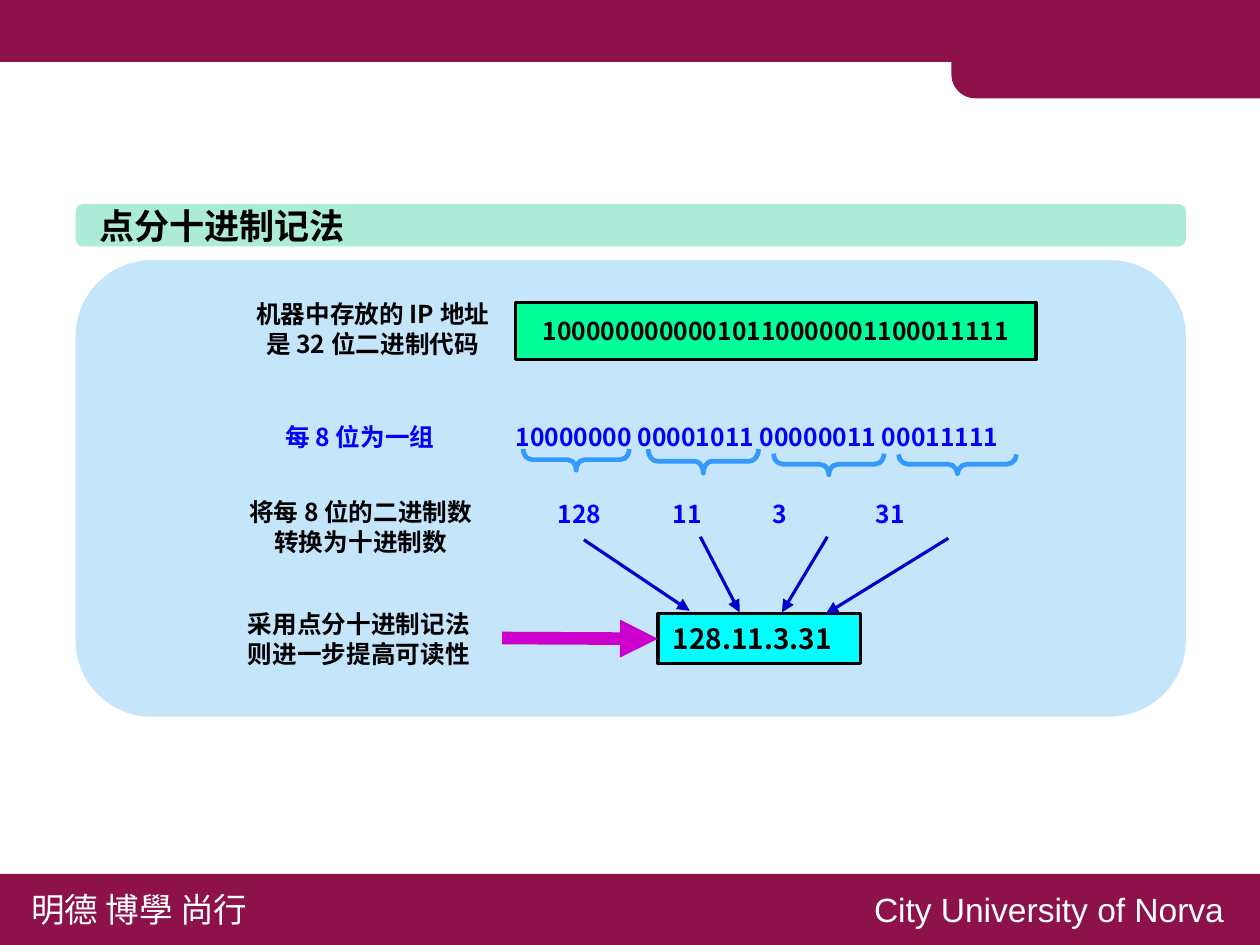
import dataclasses
import typing

import lxml.etree
import pptx
import pptx.dml.color
import pptx.enum.shapes
import pptx.enum.text
import pptx.oxml.ns
import pptx.util

Inches = pptx.util.Inches
Kind = pptx.enum.shapes.MSO_SHAPE
Align = pptx.enum.text.PP_ALIGN
Anchor = pptx.enum.text.MSO_ANCHOR
qn = pptx.oxml.ns.qn

CJK = "Noto Sans CJK SC"
COLOURS = {
    "wine": "8D124A", "mint": "ABEBD7", "sky": "C5E5FB", "green": "00FF99",
    "cyan": "00FFFF", "black": "000000", "white": "FFFFFF", "blue": "0000FF",
    "navy": "0000CC", "azure": "3399FF", "magenta": "CC00CC",
}


@dataclasses.dataclass
class Box:
    left: float
    top: float
    width: float
    height: float

    def lengths(self) -> list:
        return [Inches(value) for value in dataclasses.astuple(self)]


@dataclasses.dataclass
class Words:
    lines: list[str]
    colour: str = "black"
    size: float = 11.7
    align: typing.Any = Align.LEFT
    font: str = CJK
    bold: bool = True
    anchor: typing.Any = Anchor.TOP
    tabs: tuple[float, ...] = ()


@dataclasses.dataclass
class Panel:
    box: Box
    fill: str
    kind: typing.Any = Kind.RECTANGLE
    corner: float | None = None
    turn: int = 0


@dataclasses.dataclass
class Brace:
    centre_x: float
    centre_y: float
    depth: float
    span: float
    curve: float


@dataclasses.dataclass
class Arrow:
    start: tuple[float, float]
    end: tuple[float, float]
    colour: str = "navy"
    width: float = 1.5


def rgb(name: str) -> pptx.dml.color.RGBColor:
    return pptx.dml.color.RGBColor.from_string(COLOURS[name])


def write(shape: typing.Any, words: Words) -> None:
    frame = shape.text_frame
    frame.word_wrap = True
    frame.auto_size = pptx.enum.text.MSO_AUTO_SIZE.NONE
    frame.vertical_anchor = words.anchor
    frame.margin_left = frame.margin_right = Inches(0.1)
    frame.margin_top = frame.margin_bottom = Inches(0.05)
    frame.text = "\n".join(words.lines)
    for para in frame.paragraphs:
        para.alignment = words.align
        para.line_spacing = 1.0
        para.space_before = pptx.util.Pt(0)
        para.font.size = pptx.util.Pt(words.size)
        para.font.bold = words.bold
        para.font.name = words.font
        para.font.color.rgb = rgb(words.colour)
        properties = para._p.get_or_add_pPr()
        defaults = properties.find(qn("a:defRPr"))
        lxml.etree.SubElement(defaults, qn("a:ea")).set("typeface", words.font)
        if words.tabs:
            stops = lxml.etree.Element(qn("a:tabLst"))
            for position in words.tabs:
                stop = lxml.etree.SubElement(stops, qn("a:tab"))
                stop.set("pos", str(int(Inches(position))))
                stop.set("algn", "l")
            defaults.addprevious(stops)


def add_text(page: typing.Any, box: Box, words: Words) -> None:
    write(page.shapes.add_textbox(*box.lengths()), words)


def add_panel(page: typing.Any, panel: Panel) -> typing.Any:
    shape = page.shapes.add_shape(panel.kind, *panel.box.lengths())
    shape.shadow.inherit = False
    shape.fill.solid()
    shape.fill.fore_color.rgb = rgb(panel.fill)
    shape.line.fill.background()
    shape.rotation = panel.turn
    if panel.corner is not None:
        shape.adjustments[0] = panel.corner
    return shape


def add_framed(page: typing.Any, box: Box, fill: str, words: Words) -> typing.Any:
    shape = add_panel(page, Panel(box, fill))
    shape.line.color.rgb = rgb("black")
    shape.line.width = pptx.util.Pt(1.5)
    write(shape, words)
    return shape


def add_brace(page: typing.Any, brace: Brace) -> None:
    box = Box(brace.centre_x - brace.depth / 2, brace.centre_y - brace.span / 2,
              brace.depth, brace.span)
    shape = page.shapes.add_shape(Kind.LEFT_BRACE, *box.lengths())
    shape.shadow.inherit = False
    shape.rotation = 270
    shape.adjustments[0] = brace.curve
    shape.fill.background()
    shape.line.color.rgb = rgb("azure")
    shape.line.width = pptx.util.Pt(2.25)


def add_arrow(page: typing.Any, arrow: Arrow) -> typing.Any:
    points = [Inches(value) for value in arrow.start + arrow.end]
    line = page.shapes.add_connector(pptx.enum.shapes.MSO_CONNECTOR.STRAIGHT, *points)
    line.line.color.rgb = rgb(arrow.colour)
    line.line.width = pptx.util.Pt(arrow.width)
    head = lxml.etree.SubElement(line.line._get_or_add_ln(), qn("a:tailEnd"))
    head.set("type", "triangle")
    lxml.etree.SubElement(line._element.spPr, qn("a:effectLst"))
    return line


PANELS = [
    Panel(Box(0, 0, 8.33, 0.41), "wine"),
    Panel(Box(6.29, 0.02, 2.04, 0.63), "wine", Kind.ROUND_1_RECTANGLE, 0.25, 180),
    Panel(Box(0, 5.78, 8.33, 0.47), "wine"),
    Panel(Box(0.5, 1.35, 7.34, 0.28), "mint", Kind.ROUNDED_RECTANGLE, 0.167),
    Panel(Box(0.5, 1.72, 7.34, 3.02), "sky", Kind.ROUNDED_RECTANGLE, 0.167),
]
TEXTS = [
    (Box(0.11, 5.83, 1.75, 0.37),
     Words(["明德 博學 尚行"], "white", 16, bold=False)),
    (Box(5.68, 5.83, 2.62, 0.37),
     Words(["City University of Norva"], "white", 16, font="Arial", bold=False)),
    (Box(1.58, 1.93, 1.77, 0.49),
     Words(["机器中存放的 IP 地址", "是 32 位二进制代码"], align=Align.CENTER)),
    (Box(1.77, 2.74, 1.22, 0.3), Words(["每 8 位为一组"], "blue", align=Align.CENTER)),
    (Box(1.53, 3.24, 1.71, 0.49),
     Words(["将每 8 位的二进制数", "转换为十进制数"], align=Align.CENTER)),
    (Box(1.54, 3.98, 1.67, 0.49), Words(["采用点分十进制记法", "则进一步提高可读性"])),
    (Box(3.31, 2.74, 3.65, 0.3),
     Words(["10000000 00001011 00000011 00011111"], "blue")),
    (Box(3.59, 3.25, 3.13, 0.3),
     Words(["128\t11\t3\t31"], "blue", tabs=(0.76, 1.42, 2.1))),
]
BRACES = [
    Brace(3.81, 3.04, 0.14, 0.7, 0.41),
    Brace(4.65, 3.05, 0.16, 0.73, 0.38),
    Brace(5.48, 3.07, 0.14, 0.73, 0.43),
    Brace(6.33, 3.07, 0.13, 0.78, 0.49),
]
ARROWS = [
    Arrow((3.86, 3.57), (4.56, 4.04)),
    Arrow((4.63, 3.55), (4.89, 4.05)),
    Arrow((5.47, 3.55), (5.17, 4.05)),
    Arrow((6.27, 3.56), (5.46, 4.06)),
]


def main() -> None:
    deck = pptx.Presentation()
    deck.slide_width, deck.slide_height = Inches(8.33), Inches(6.25)
    page = deck.slides.add_slide(deck.slide_layouts[5])
    for panel in PANELS:
        add_panel(page, panel)

    title = page.shapes.title
    title.left, title.top, title.width, title.height = Box(0.56, 1.3, 1.9, 0.38).lengths()
    write(title, Words(["点分十进制记法"], size=16.7))
    page.shapes._spTree.append(title._element)

    for box, words in TEXTS:
        add_text(page, box, words)
    add_framed(page, Box(3.41, 2, 3.44, 0.38), "green",
               Words(["10000000000010110000001100011111"], align=Align.CENTER,
                     anchor=Anchor.MIDDLE))
    address = add_framed(page, Box(4.35, 4.06, 1.34, 0.33), "cyan",
                         Words(["128.11.3.31"], size=13.3))
    for brace in BRACES:
        add_brace(page, brace)
    for arrow in ARROWS:
        add_arrow(page, arrow)
    pointer = add_arrow(page, Arrow((3.32, 4.22), (4.35, 4.22), "magenta", 6))
    pointer.end_connect(address, 1)
    deck.save("out.pptx")


if __name__ == "__main__":
    main()
